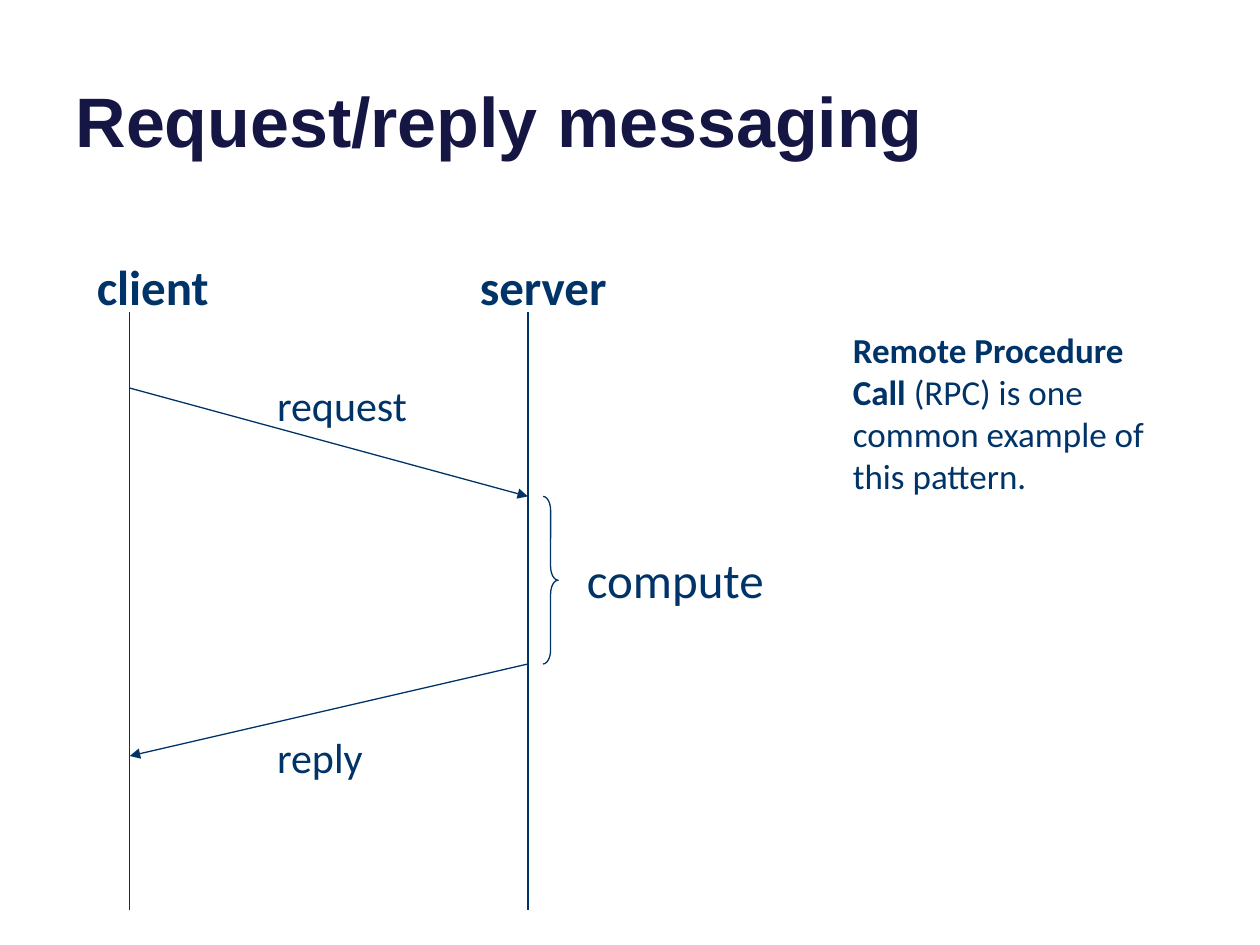
import pptx
import pptx.dml.color
import pptx.enum.shapes
import pptx.enum.text
import pptx.oxml.ns
import pptx.util
from lxml import etree
from pptx.util import Inches

TITLE_COLOR = pptx.dml.color.RGBColor(0x16, 0x16, 0x45)
DIAGRAM_COLOR = pptx.dml.color.RGBColor(0x00, 0x33, 0x67)


def format_run(run, font_name, size, color, bold):
    """Give a run its font, size, colour and weight."""
    run.font.name = font_name
    run.font.size = pptx.util.Pt(size)
    run.font.color.rgb = color
    run.font.bold = bold


def add_text(shapes, left, top, width, height, pieces, size):
    """Add a wrapped text box made of (text, bold) pieces."""
    text_box = shapes.add_textbox(left, top, width, height)
    text_box.text_frame.word_wrap = True
    paragraph = text_box.text_frame.paragraphs[0]
    for text, bold in pieces:
        run = paragraph.add_run()
        run.text = text
        format_run(run, "Calibri", size, DIAGRAM_COLOR, bold)


def style_line(shape):
    """Draw the outline of a shape in the thin diagram style."""
    shape.line.color.rgb = DIAGRAM_COLOR
    shape.line.width = pptx.util.Pt(0.75)


def add_line(shapes, start_x, start_y, end_x, end_y, arrow=False):
    """Add a straight line, with an arrowhead at its end if asked."""
    connector = shapes.add_connector(
        pptx.enum.shapes.MSO_CONNECTOR.STRAIGHT, start_x, start_y, end_x, end_y
    )
    style_line(connector)
    if arrow:
        line_element = connector.line._get_or_add_ln()
        etree.SubElement(line_element, pptx.oxml.ns.qn("a:tailEnd"), type="triangle")
    properties = connector._element.spPr
    etree.SubElement(properties, pptx.oxml.ns.qn("a:effectLst"))


def place_title(slide, left, top, width, height):
    """Place the slide title at the bottom of its box."""
    title = slide.shapes.title
    title.left, title.top, title.width, title.height = left, top, width, height
    text_frame = title.text_frame
    text_frame.text = "Request/reply messaging"
    text_frame.auto_size = pptx.enum.text.MSO_AUTO_SIZE.NONE
    text_frame.vertical_anchor = pptx.enum.text.MSO_ANCHOR.BOTTOM
    paragraph = text_frame.paragraphs[0]
    paragraph.alignment = pptx.enum.text.PP_ALIGN.LEFT
    format_run(paragraph.runs[0], "Arial", 40, TITLE_COLOR, True)


def place_sequence_diagram(slide, left, top, width, height):
    """Draw the client and server lifelines, their messages and the compute step."""
    shapes = slide.shapes.add_group_shape().shapes
    client_x = left + Inches(0.36)
    server_x = client_x + Inches(3.16)
    request_sent, request_received = top + Inches(1.09), top + Inches(1.95)
    reply_sent, reply_received = top + Inches(3.28), top + Inches(4.01)
    label_width, label_height = Inches(1.7), Inches(0.57)

    for x in (client_x, server_x):
        add_line(shapes, x, top + Inches(0.49), x, top + height)
    add_line(shapes, client_x, request_sent, server_x, request_received, arrow=True)
    add_line(shapes, server_x, reply_sent, client_x, reply_received, arrow=True)

    for name, x in (("client", left), ("server", left + Inches(3.04))):
        add_text(shapes, x, top, label_width, label_height, [(name, True)], 28)
    for name, y in (("request", Inches(0.97)), ("reply", Inches(3.77))):
        add_text(shapes, left + Inches(1.43), top + y, Inches(2.58), Inches(0.5),
                 [(name, False)], 24)

    brace = shapes.add_shape(
        pptx.enum.shapes.MSO_SHAPE.RIGHT_BRACE, server_x + Inches(0.12),
        request_received, Inches(0.12), reply_sent - request_received
    )
    brace.adjustments[0] = 0.92
    brace.shadow.inherit = False
    brace.fill.background()
    style_line(brace)
    add_text(slide.shapes, left + width - label_width, top + Inches(2.32),
             label_width, label_height, [("compute", False)], 28)


def place_note(slide, left, top, width, height):
    """Place the remark about remote procedure calls."""
    pieces = [
        ("Remote Procedure Call ", True),
        ("(RPC) is one common example of this pattern.", False),
    ]
    add_text(slide.shapes, left, top, width, height, pieces, 20)


def main():
    """Build and save the presentation."""
    presentation = pptx.Presentation()
    presentation.slide_width = Inches(10)
    presentation.slide_height = Inches(7.5)
    slide = presentation.slides.add_slide(presentation.slide_layouts[5])
    place_title(slide, Inches(0.5), Inches(-0.37), Inches(9), Inches(1.7))
    place_sequence_diagram(slide, Inches(0.67), Inches(1.99), Inches(5.59), Inches(5.23))
    place_note(slide, Inches(6.67), Inches(2.56), Inches(2.82), Inches(1.45))
    presentation.save("out.pptx")


if __name__ == "__main__":
    main()
